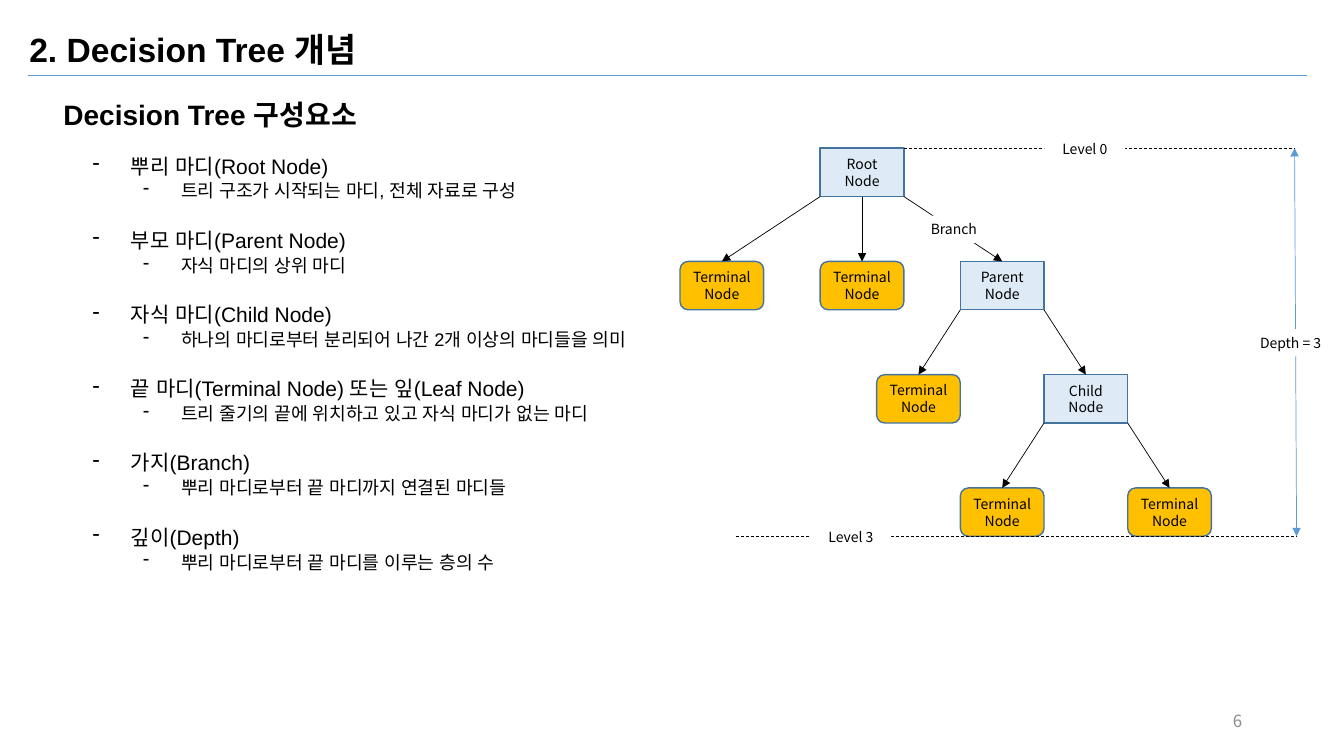
import dataclasses
import lxml.etree
import pptx
import pptx.dml.color
import pptx.enum.dml
import pptx.enum.shapes
import pptx.enum.text
import pptx.oxml.ns
import pptx.util

Inches = pptx.util.Inches
Pt = pptx.util.Pt
Shape = pptx.enum.shapes.MSO_SHAPE
Align = pptx.enum.text.PP_ALIGN
Anchor = pptx.enum.text.MSO_ANCHOR
qn = pptx.oxml.ns.qn


@dataclasses.dataclass(frozen=True)
class Theme:
    """Colours, fonts and type sizes of the slide."""
    ink: str = "000000"
    grey: str = "8C8C8C"
    paper: str = "FFFFFF"
    blue: str = "5B9BD5"
    edge: str = "43739E"
    inner: str = "DEEBF7"
    leaf: str = "FFC000"
    main: str = "Arial"
    small: str = "Noto Sans CJK KR"
    title: int = 24
    head: int = 20
    term: int = 15
    note: int = 13
    page: int = 12
    node: int = 10


T = Theme()

TERMS = [
    ("뿌리 마디(Root Node)", "트리 구조가 시작되는 마디, 전체 자료로 구성"),
    ("부모 마디(Parent Node)", "자식 마디의 상위 마디"),
    ("자식 마디(Child Node)", "하나의 마디로부터 분리되어 나간 2개 이상의 마디들을 의미"),
    ("끝 마디(Terminal Node) 또는 잎(Leaf Node)", "트리 줄기의 끝에 위치하고 있고 자식 마디가 없는 마디"),
    ("가지(Branch)", "뿌리 마디로부터 끝 마디까지 연결된 마디들"),
    ("깊이(Depth)", "뿌리 마디로부터 끝 마디를 이루는 층의 수"),
]

LEAF = ("Terminal Node", 0, [])
CHILD = ("Child Node", 0.83, [(-1, LEAF), (1, LEAF)])
PARENT = ("Parent Node", 0.83, [(-1, LEAF), (1, CHILD)])
ROOT = ("Root Node", 1.39, [(-1, LEAF), (0, LEAF), (1, PARENT)])
NODE_W, NODE_H = 0.83, 0.48


def rgb(code):
    """Turn a hex code into a colour."""
    return pptx.dml.color.RGBColor.from_string(code)


def write(para, words, size=T.node, font=T.small, color=T.ink, bold=False, align=Align.LEFT):
    """Put formatted words into a paragraph."""
    run = para.add_run()
    run.text = words
    run.font.size = Pt(size)
    run.font.name = font
    run.font.bold = bold
    run.font.color.rgb = rgb(color)
    lxml.etree.SubElement(run.font._element, qn("a:ea")).set("typeface", font)
    para.alignment = align


def frame(shape, anchor=Anchor.TOP):
    """Set wrapping and anchor, and give back the text frame."""
    body = shape.text_frame
    body.word_wrap = True
    body.auto_size = pptx.enum.text.MSO_AUTO_SIZE.NONE
    body.vertical_anchor = anchor
    return body


def text(slide, box, words, anchor=Anchor.TOP, **form):
    """Add a text box with one paragraph."""
    shape = slide.shapes.add_textbox(*map(Inches, box))
    write(frame(shape, anchor).paragraphs[0], words, **form)


def block(slide, kind, box, words, fill, edge=None):
    """Add a filled shape with centred words."""
    shape = slide.shapes.add_shape(kind, *map(Inches, box))
    shape.shadow.inherit = False
    shape.fill.solid()
    shape.fill.fore_color.rgb = rgb(fill)
    if edge:
        shape.line.color.rgb = rgb(edge)
        shape.line.width = Pt(1)
    else:
        shape.line.fill.background()
    write(frame(shape, Anchor.MIDDLE).paragraphs[0], words, align=Align.CENTER)
    return shape


def line(slide, start, end, color=T.ink, dash=False, tips=()):
    """Add a thin line, with arrowheads at the named tips."""
    kind = pptx.enum.shapes.MSO_CONNECTOR.STRAIGHT
    wire = slide.shapes.add_connector(kind, *map(Inches, start + end))
    wire.line.color.rgb = rgb(color)
    wire.line.width = Pt(0.5)
    if dash:
        wire.line.dash_style = pptx.enum.dml.MSO_LINE.DASH
    for tip in tips:
        lxml.etree.SubElement(wire.line._ln, qn("a:" + tip)).set("type", "triangle")
    lxml.etree.SubElement(wire._element.spPr, qn("a:effectLst"))
    return wire


def header(slide, left, top, width):
    """Place the title, its rule and the subtitle."""
    line(slide, (left + 0.09, top + 0.51), (left + width, top + 0.51), T.blue)
    title = slide.shapes.title
    title.left, title.top = Inches(left), Inches(top)
    title.width, title.height = Inches(9.15), Inches(0.5)
    write(frame(title).paragraphs[0], "2. Decision Tree 개념",
          size=T.title, font=T.main, bold=True)
    text(slide, (left + 0.34, top + 0.68, 12.32, 0.44), "Decision Tree 구성요소",
         size=T.head, font=T.main, bold=True)


def item(para, words, level, size, gap):
    """Fill a dashed list item."""
    write(para, words, size=size, font=T.main)
    para.level = level
    para.space_before = Pt(gap)
    props = para._p.get_or_add_pPr()
    props.set("marL", str(Inches(0.38 + level / 2)))
    props.set("indent", str(Inches(-0.38)))
    lxml.etree.SubElement(props, qn("a:buChar")).set("char", "-")


def terms(slide, box):
    """List the terms, each with its meaning."""
    body = frame(slide.shapes.add_textbox(*map(Inches, box)))
    for i, (name, note) in enumerate(TERMS):
        para = body.add_paragraph() if i else body.paragraphs[0]
        item(para, name, 0, T.term, 18.4 if i else 0)
        item(body.add_paragraph(), note, 1, T.note, 1)


def grow(slide, node, mid, top, step):
    """Draw a node and, below it, its branches."""
    name, gap, kids = node
    kind, fill = (Shape.RECTANGLE, T.inner) if kids else (Shape.ROUNDED_RECTANGLE, T.leaf)
    box = (mid - NODE_W / 2, top, NODE_W, NODE_H)
    shape = block(slide, kind, box, name, fill, T.edge)
    for side, kid in kids:
        goal = grow(slide, kid, mid + side * gap, top + step, step)
        start = (mid + side * NODE_W / 2, top + NODE_H)
        wire = line(slide, start, (mid + side * gap, top + step), tips=["tailEnd"])
        if side == 0:
            wire.begin_connect(shape, 2)
        wire.end_connect(goal, 0)
    return shape


def tree(slide, left, top, width, height):
    """Draw the tree with its level and depth marks."""
    mid, right, base = left + 1.8, left + width, top + height
    grow(slide, ROOT, mid, top, (height - NODE_H) / 3)
    line(slide, (right - 0.02, top), (right, base), T.blue, tips=["headEnd", "tailEnd"])
    line(slide, (mid + NODE_W / 2, top), (right - 0.02, top), dash=True)
    line(slide, (left + 0.55, base), (right, base), dash=True)
    marks = [("Branch", 2.71, 0.8, 0.75), ("Level 0", 4.01, 0, 0.8),
             ("Level 3", 1.69, height, 0.8), ("Depth = 3", 6.05, height / 2, 0.89)]
    for words, x, y, wide in marks:
        box = (left + x - wide / 2, top + y - 0.13, wide, 0.27)
        block(slide, Shape.RECTANGLE, box, words, T.paper)


def main():
    """Build and save the slide."""
    deck = pptx.Presentation()
    deck.slide_width, deck.slide_height = Inches(13.33), Inches(7.5)
    slide = deck.slides.add_slide(deck.slide_layouts[5])
    header(slide, 0.19, 0.24, 12.77)
    terms(slide, (0.82, 1.47, 5.98, 4.19))
    text(slide, (9.42, 6.95, 3, 0.4), "6", anchor=Anchor.MIDDLE,
         size=T.page, color=T.grey, align=Align.RIGHT)
    tree(slide, 6.75, 1.47, 6.11, 3.85)
    deck.save("out.pptx")


if __name__ == "__main__":
    main()
